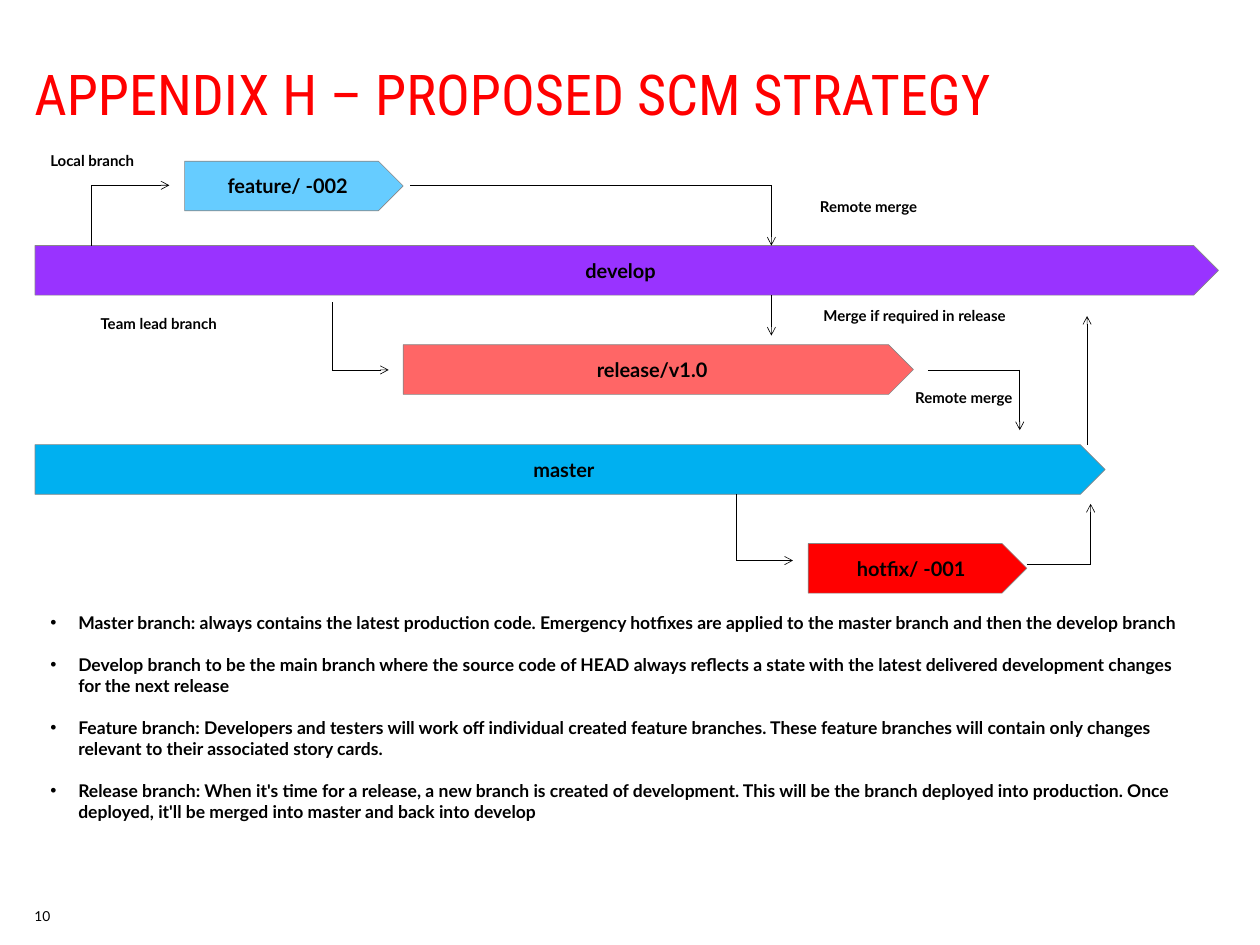
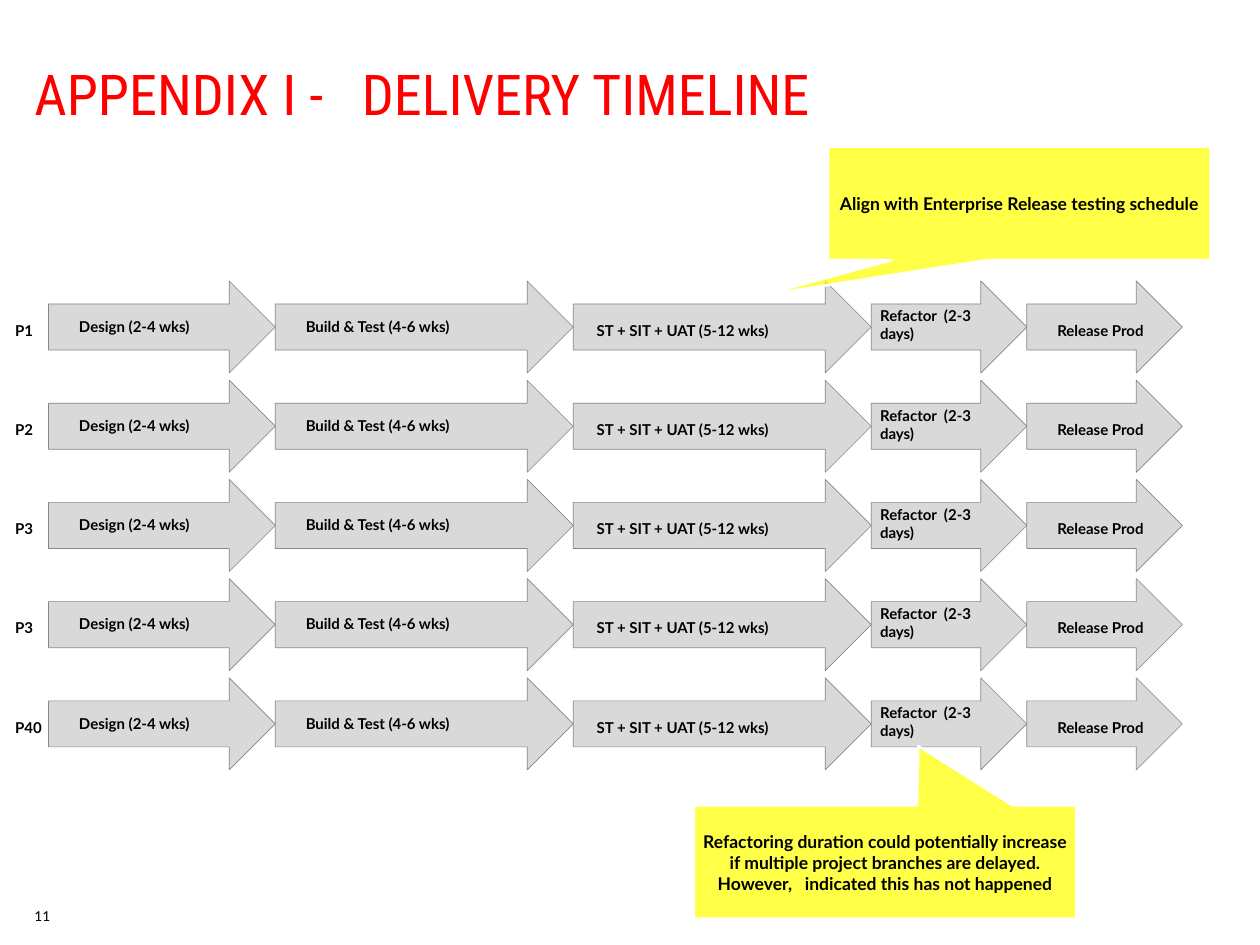
from dataclasses import dataclass
from itertools import pairwise

from lxml import etree
from pptx import Presentation
from pptx.dml.color import RGBColor
from pptx.enum.shapes import MSO_CONNECTOR, MSO_SHAPE
from pptx.enum.text import MSO_ANCHOR, MSO_AUTO_SIZE, PP_ALIGN
from pptx.oxml.ns import qn
from pptx.util import Cm, Pt

PLATE = MSO_SHAPE.PENTAGON
ARROW = MSO_SHAPE.RIGHT_ARROW
NOTE = MSO_SHAPE.RECTANGULAR_CALLOUT
STRAIGHT = MSO_CONNECTOR.STRAIGHT
TOP, MIDDLE, BOTTOM = MSO_ANCHOR.TOP, MSO_ANCHOR.MIDDLE, MSO_ANCHOR.BOTTOM
LEFT, CENTER = PP_ALIGN.LEFT, PP_ALIGN.CENTER
FIXED = MSO_AUTO_SIZE.NONE
TITLE_ONLY = 5


@dataclass(frozen=True)
class Theme:
    head: str = "Roboto Condensed"
    body: str = "Lato"
    ink: str = "000000"
    red: str = "FF0000"
    edge: str = "878787"
    white: str = "FFFFFF"
    yellow: str = "FFFF00"
    gray: str = "D9D9D9"
    sky: str = "66CCFF"
    purple: str = "9933FF"
    coral: str = "FF6666"
    blue: str = "00B0F0"
    title: float = 45
    plate: float = 16
    text: float = 14
    label: float = 12
    page: float = 11
    thin: float = 0.5
    thick: float = 2


THEME = Theme()

BRANCHES = [
    ("release/v1.0", THEME.coral, 11.38, 9.73, 14.4),
    ("master", THEME.blue, 0.99, 12.55, 30.2),
    ("develop", THEME.purple, 0.99, 6.93, 33.4),
    ("feature/ -002", THEME.sky, 5.21, 4.55, 6.17),
    ("hotfix/ -001", THEME.red, 22.81, 15.34, 6.17),
]
ROUTES = [
    [(2.59, 6.93), (2.59, 5.23), (4.78, 5.23)],
    [(9.37, 8.53), (9.37, 10.44), (10.97, 10.44)],
    [(26.19, 10.44), (28.78, 10.44), (28.78, 12.14)],
    [(21.77, 8.33), (21.77, 9.47)],
    [(20.78, 13.94), (20.78, 15.82), (22.38, 15.82)],
    [(28.98, 15.93), (30.78, 15.93), (30.78, 14.22)],
    [(11.58, 5.23), (21.77, 5.23), (21.77, 6.93)],
    [(30.68, 12.55), (30.68, 8.92)],
]
LABELS = [
    ("Local branch", 1.17, 4.14, 3.1),
    ("Team lead branch", 2.59, 8.74, 4.6),
    ("Remote merge", 22.89, 5.46, 5.1),
    ("Merge if required in release", 22.99, 8.53, 7.1),
    ("Remote merge", 25.58, 10.85, 5.1),
]
RULES = [
    "Master branch: always contains the latest production code. Emergency hotfixes are "
    "applied to the master branch and then the develop branch",
    "Develop branch to be the main branch where the source code of HEAD always reflects "
    "a state with the latest delivered development changes for the next release",
    "Feature branch: Developers and testers will work off individual created feature "
    "branches. These feature branches will contain only changes relevant to their "
    "associated story cards.",
    "Release branch: When it's time for a release, a new branch is created of "
    "development. This will be the branch deployed into production. Once deployed, "
    "it'll be merged into master and back into develop",
]
STAGES = [
    ("Design (2-4 wks)", 6.4, 0.61, 0.9, 4.4),
    ("Build & Test (4-6 wks)", 8.41, 0.61, 0.9, 6),
    ("ST + SIT + UAT (5-12 wks)", 8.41, 0.41, 1.01, 6.6),
    ("Refactor  (2-3 days)", 4.39, 0, 0.61, 3.81),
    ("Release Prod", 4.39, 0.61, 1.01, 3.81),
]
TEAMS = ["P1", "P2", "P3", "P3", "P40"]
NOTES = [
    ("Align with Enterprise Release testing schedule", 23.37, 4.14, (-0.674, 0.813)),
    ("Refactoring duration could potentially increase if multiple project branches are "
     "delayed. However,   indicated this has not happened", 19.58, 22.73, (0.087, -1.023)),
]


def style(frame, size, face=THEME.body, color=THEME.ink, bold=False, align=LEFT):
    for para in frame.paragraphs:
        para.alignment = align
        for run in para.runs:
            font = run.font
            font.name, font.size, font.bold = face, Pt(size), bold
            font.color.rgb = RGBColor.from_string(color)


def pad(frame, *sides):
    (frame.margin_left, frame.margin_top,
     frame.margin_right, frame.margin_bottom) = map(Cm, sides)


def write(slide, text, x, y, w, h=0.89, size=THEME.label, bold=True):
    box = slide.shapes.add_textbox(Cm(x), Cm(y), Cm(w), Cm(h))
    frame = box.text_frame
    frame.word_wrap = True
    frame.vertical_anchor = TOP
    frame.text = text
    style(frame, size, bold=bold)
    return frame


def draw(slide, kind, x, y, w, h, fill, edge=THEME.edge, width=THEME.thin):
    shape = slide.shapes.add_shape(kind, Cm(x), Cm(y), Cm(w), Cm(h))
    shape.shadow.inherit = False
    shape.fill.solid()
    shape.fill.fore_color.rgb = RGBColor.from_string(fill)
    shape.line.color.rgb = RGBColor.from_string(edge)
    shape.line.width = Pt(width)
    return shape


def fill_text(shape, text, size, wrap):
    frame = shape.text_frame
    frame.word_wrap = wrap
    frame.vertical_anchor = MIDDLE
    frame.text = text
    style(frame, size, bold=True, align=CENTER)


def route(slide, points):
    for start, end in pairwise(points):
        line = slide.shapes.add_connector(STRAIGHT, *map(Cm, start + end))
        line.line.color.rgb = RGBColor.from_string(THEME.ink)
        line.line.width = Pt(THEME.thin)
        props = line._element.spPr
        if end == points[-1]:
            etree.SubElement(props.find(qn("a:ln")), qn("a:tailEnd"), type="arrow")
        etree.SubElement(props, qn("a:effectLst"))


def list_rules(slide, rules, x, y, w, h):
    frame = write(slide, "\n".join(rules), x, y, w, h, THEME.text)
    indent = Cm(0.79)
    for i, para in enumerate(frame.paragraphs):
        props = para._p.get_or_add_pPr()
        props.set("marL", str(indent))
        props.set("indent", str(-indent))
        etree.SubElement(props, qn("a:buFont"), typeface="Arial")
        etree.SubElement(props, qn("a:buChar"), char="•")
        if i:
            para.space_before = Pt(16.8)


def call_out(slide, text, x, y, tip):
    shape = draw(slide, NOTE, x, y, 10.8, 3.2, THEME.yellow, THEME.white, THEME.thick)
    shape.adjustments[0], shape.adjustments[1] = tip
    tint = shape._element.spPr.find(qn("a:solidFill")).find(qn("a:srgbClr"))
    etree.SubElement(tint, qn("a:alpha"), val="72000")
    fill_text(shape, text, THEME.text, True)


def add_page(deck, title, number):
    slide = deck.slides.add_slide(deck.slide_layouts[TITLE_ONLY])
    head = slide.shapes.title
    head.left, head.top, head.width, head.height = map(Cm, (0.97, 0.61, 33.6, 2.95))
    frame = head.text_frame
    frame.text = title
    frame.auto_size = FIXED
    frame.word_wrap = True
    frame.vertical_anchor = BOTTOM
    pad(frame, 0, 0.18, 0, 0)
    frame.paragraphs[0].line_spacing = 0.8
    style(frame, THEME.title, THEME.head, THEME.red)
    page = write(slide, str(number), 0.97, 25.43, 1.52, 1.14, THEME.page, False)
    pad(page, 0, 0.18, 0, 0.18)
    return slide


def add_flow(deck):
    slide = add_page(deck, "APPENDIX H – PROPOSED SCM STRATEGY", 10)
    for name, color, x, y, w in BRANCHES:
        fill_text(draw(slide, PLATE, x, y, w, 1.4, color), name, THEME.plate, False)
    for points in ROUTES:
        route(slide, points)
    for label in LABELS:
        write(slide, *label)
    list_rules(slide, RULES, 1.17, 17.15, 32.4, 7.6)


def add_plan(deck):
    slide = add_page(deck, "APPENDIX I -   DELIVERY TIMELINE", 11)
    for row, team in enumerate(TEAMS):
        x, y = 1.37, 7.93 + 2.8 * row
        for name, width, dx, dy, span in STAGES:
            draw(slide, ARROW, x, y, width, 2.6, THEME.gray)
            write(slide, name, x + dx, y + dy, span)
            x += width
        write(slide, team, 0.18, y + 1.01, 1.4)
    for note in NOTES:
        call_out(slide, *note)


def main():
    deck = Presentation()
    deck.slide_width, deck.slide_height = Cm(35.56), Cm(26.67)
    add_flow(deck)
    add_plan(deck)
    deck.save("out.pptx")


if __name__ == "__main__":
    main()
